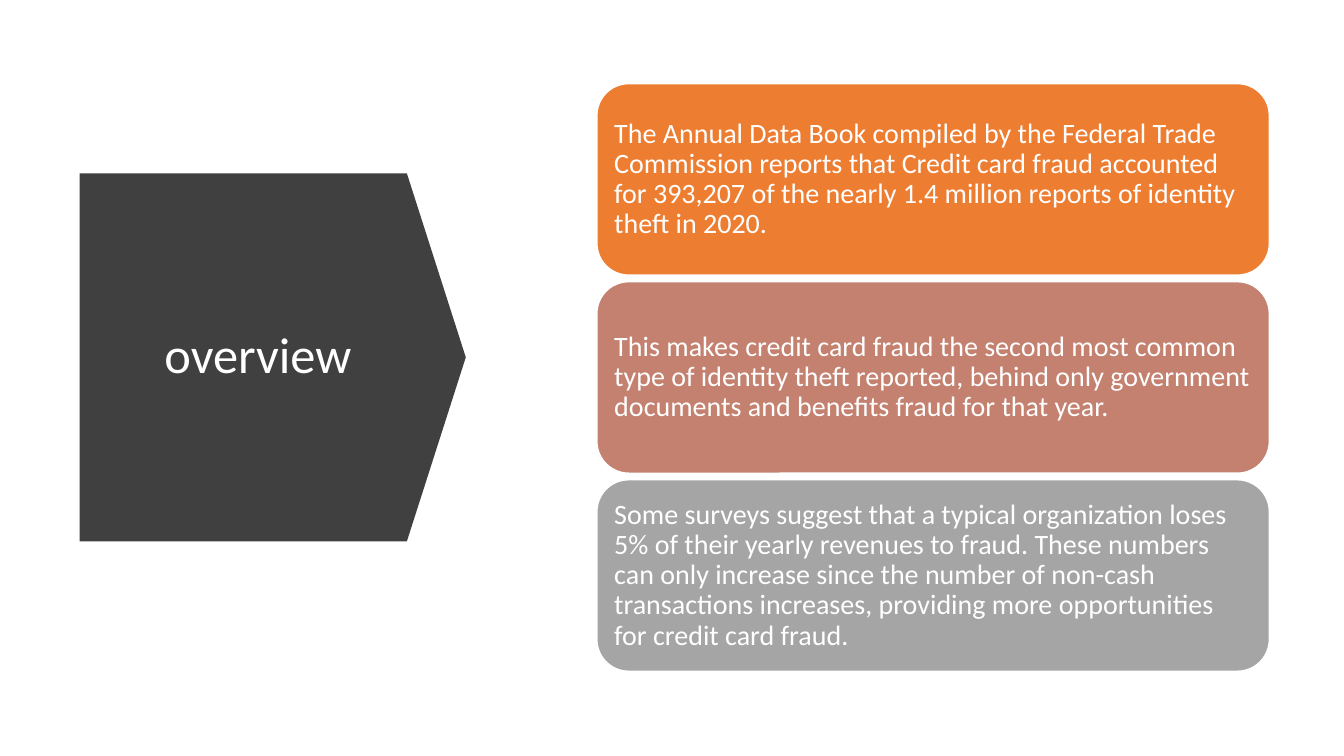
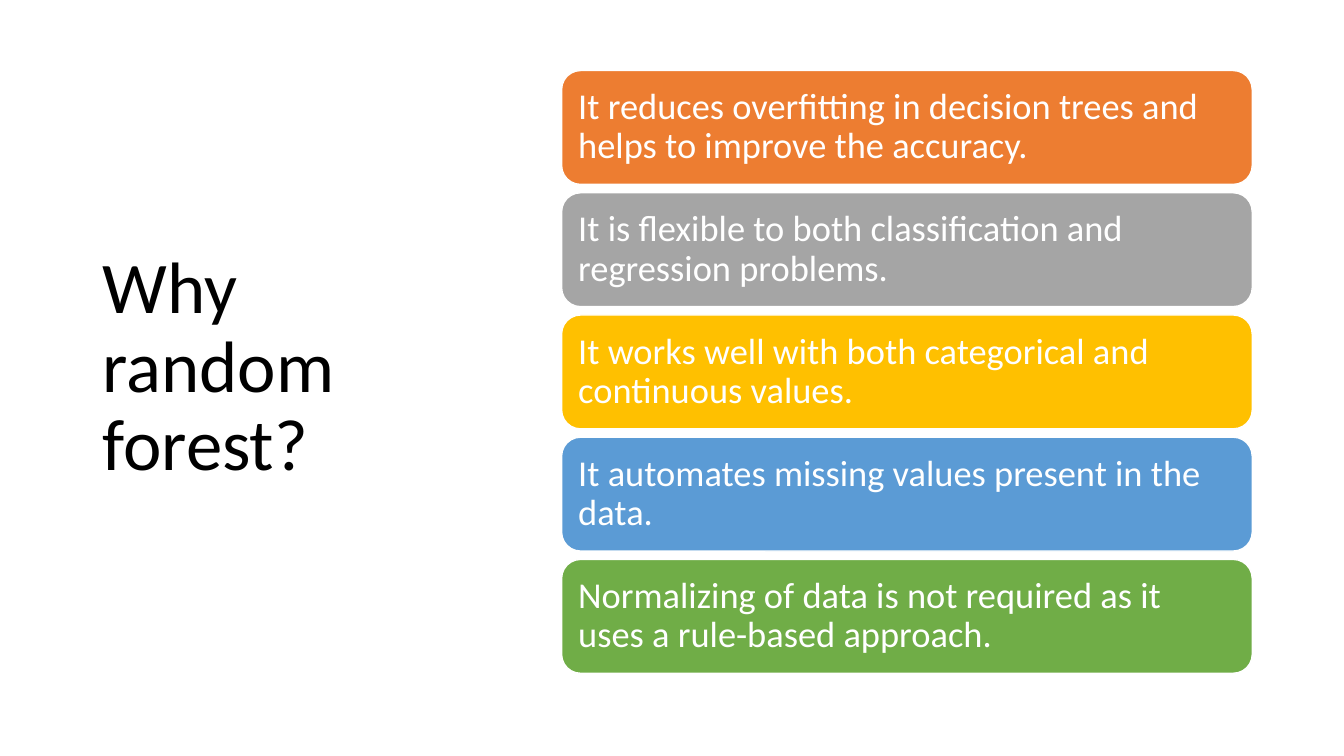
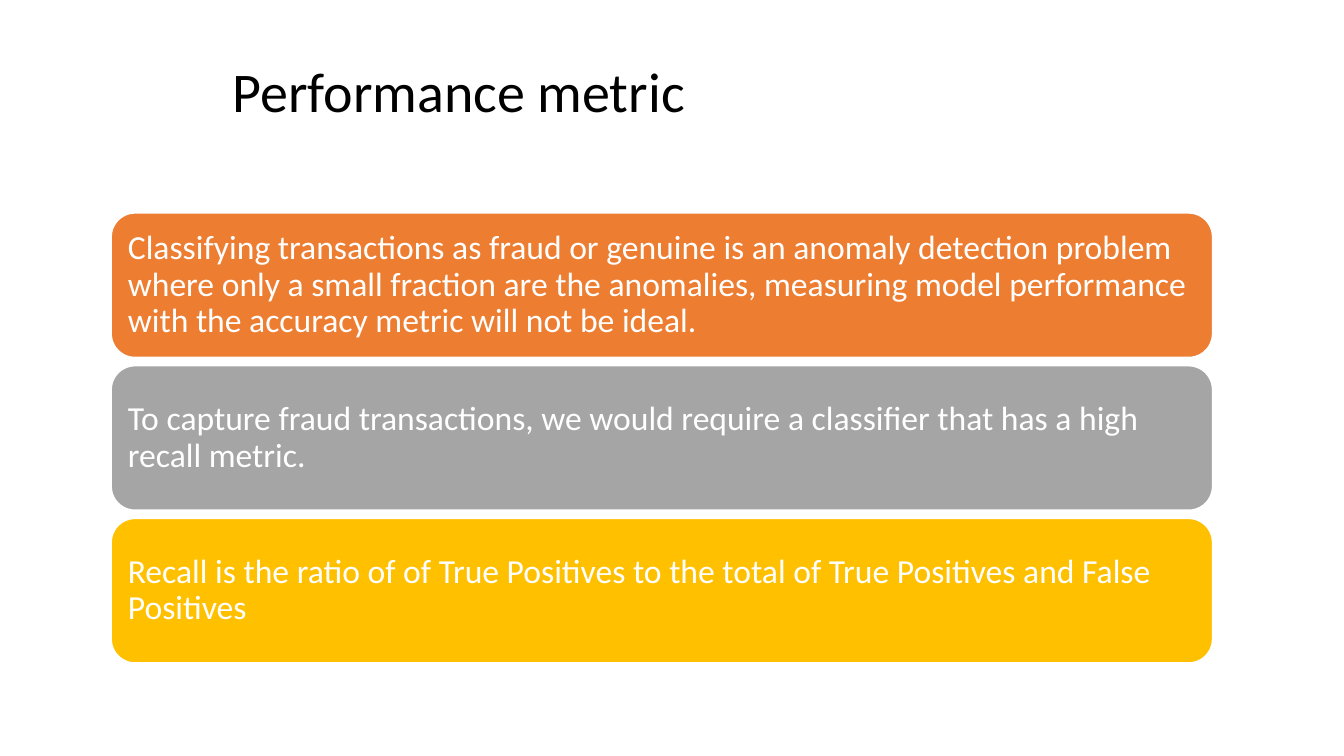
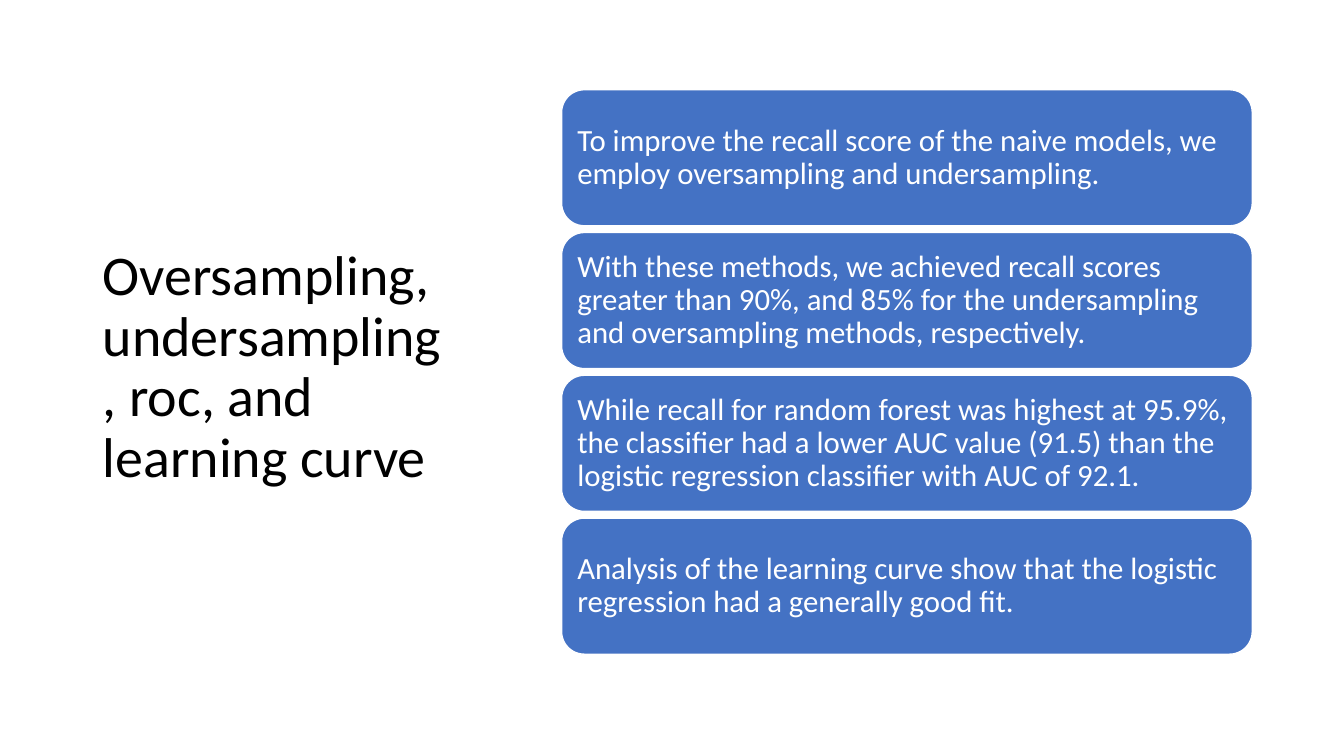
from pptx import Presentation
from pptx.dml.color import RGBColor
from pptx.enum.shapes import MSO_SHAPE
from pptx.enum.text import MSO_ANCHOR, PP_ALIGN
from pptx.util import Inches, Pt

ROUND_RECT, PENTAGON = MSO_SHAPE.ROUNDED_RECTANGLE, MSO_SHAPE.PENTAGON
TOP, MIDDLE = MSO_ANCHOR.TOP, MSO_ANCHOR.MIDDLE
LEFT, CENTER = PP_ALIGN.LEFT, PP_ALIGN.CENTER

FONT = "Calibri"
WHITE, BLACK, DARK = "FFFFFF", "000000", "404040"
ORANGE, ROSE, GRAY, GOLD = "ED7D31", "C48170", "A5A5A5", "FFC000"
SKY, GREEN, BLUE = "5B9BD5", "70AD47", "4472C4"

SIDE_TITLE = (0.92, 0.61, 3.69, 6.09)
SIDE_LEFT, SIDE_WIDTH = 5.57, 6.85


def rgb(value):
    return RGBColor.from_string(value)


class Deck:
    """Holds the shared style and the slide being built."""

    def __init__(self):
        self.prs = Presentation()
        self.prs.slide_width = Inches(13.33)
        self.prs.slide_height = Inches(7.5)
        self.s = None

    def new_slide(self):
        self.s = self.prs.slides.add_slide(self.prs.slide_layouts[6])

    def set_text(self, sp, text, size, color, anchor=MIDDLE, align=LEFT):
        tf = sp.text_frame
        tf.text = text
        tf.word_wrap = True
        tf.vertical_anchor = anchor
        p = tf.paragraphs[0]
        p.alignment = align
        p.line_spacing = 0.9
        r = p.runs[0]
        r.font.name = FONT
        r.font.size = Pt(size)
        r.font.color.rgb = rgb(color)

    def shape(self, kind, box, fill):
        sp = self.s.shapes.add_shape(kind, *map(Inches, box))
        sp.shadow.inherit = False
        sp.fill.solid()
        sp.fill.fore_color.rgb = rgb(fill)
        sp.line.fill.background()
        return sp

    def title(self, text, box, size, anchor=MIDDLE):
        sp = self.s.shapes.add_textbox(*map(Inches, box))
        self.set_text(sp, text, size, BLACK, anchor)

    def arrow_title(self, text, box, size):
        sp = self.shape(PENTAGON, box, DARK)
        sp.adjustments[0] = 0.16
        self.set_text(sp, text, size, WHITE, align=CENTER)

    def card(self, text, box, fill, size, inset, border):
        sp = self.shape(ROUND_RECT, box, fill)
        sp.line.color.rgb = rgb(WHITE)
        sp.line.width = Pt(border)
        self.set_text(sp, text, size, WHITE)
        tf = sp.text_frame
        tf.margin_left = tf.margin_right = Inches(inset)
        tf.margin_top = tf.margin_bottom = Inches(inset)

    def card_stack(self, cards, left, width, top, bottom, height, size, inset, border=1):
        pitch = (bottom - top - height) / (len(cards) - 1)
        for i, (fill, text) in enumerate(cards):
            box = (left, top + i * pitch, width, height)
            self.card(text, box, fill, size, inset, border)


def main():
    deck = Deck()

    deck.new_slide()
    deck.arrow_title("overview", (0.79, 1.72, 3.83, 3.65), 36)
    deck.card_stack([
        (ORANGE, "The Annual Data Book compiled by the Federal Trade Commission reports that "
                 "Credit card fraud accounted for 393,207 of the nearly 1.4 million reports of "
                 "identity theft in 2020."),
        (ROSE, "This makes credit card fraud the second most common type of identity theft "
               "reported, behind only government documents and benefits fraud for that year."),
        (GRAY, "Some surveys suggest that a typical organization loses 5% of their yearly "
               "revenues to fraud. These numbers can only increase since the number of non-cash "
               "transactions increases, providing more opportunities for credit card fraud."),
    ], 5.92, 6.67, top=0.83, bottom=6.66, height=1.9, size=20, inset=0.08)

    deck.new_slide()
    deck.title("Why random forest?", SIDE_TITLE, 52)
    deck.card_stack([
        (ORANGE, "It reduces overfitting in decision trees and helps to improve the accuracy."),
        (GRAY, "It is flexible to both classification and regression problems."),
        (GOLD, "It works well with both categorical and continuous values."),
        (SKY, "It automates missing values present in the data."),
        (GREEN, "Normalizing of data is not required as it uses a rule-based approach."),
    ], SIDE_LEFT, SIDE_WIDTH, top=0.7, bottom=6.68, height=1.13, size=26, inset=0.11)

    deck.new_slide()
    deck.title("Performance metric", (2.21, 0.59, 9.83, 1.22), 40, TOP)
    deck.card_stack([
        (ORANGE, "Classifying transactions as fraud or genuine is an anomaly detection problem "
                 "where only a small fraction are the anomalies, measuring model performance "
                 "with the accuracy metric will not be ideal."),
        (GRAY, "To capture fraud transactions, we would require a classifier that has a high "
               "recall metric."),
        (GOLD, "Recall is the ratio of of True Positives to the total of True Positives and "
               "False Positives"),
    ], 1.1, 10.93, top=2.11, bottom=6.58, height=1.44, size=24, inset=0.1, border=1.5)

    deck.new_slide()
    deck.title("Oversampling, undersampling, roc, and learning curve", SIDE_TITLE, 40)
    findings = [
        "To improve the recall score of the naive models, we employ oversampling and "
        "undersampling.",
        "With these methods, we achieved recall scores greater than 90%, and 85% for the "
        "undersampling and oversampling methods, respectively.",
        "While recall for random forest was highest at 95.9%, the classifier had a lower AUC "
        "value (91.5) than the logistic regression classifier with AUC of 92.1.",
        "Analysis of the learning curve show that the logistic regression had a generally "
        "good fit.",
    ]
    deck.card_stack([(BLUE, text) for text in findings], SIDE_LEFT, SIDE_WIDTH,
                    top=0.89, bottom=6.49, height=1.35, size=22, inset=0.09)

    deck.prs.save("out.pptx")


if __name__ == "__main__":
    main()
